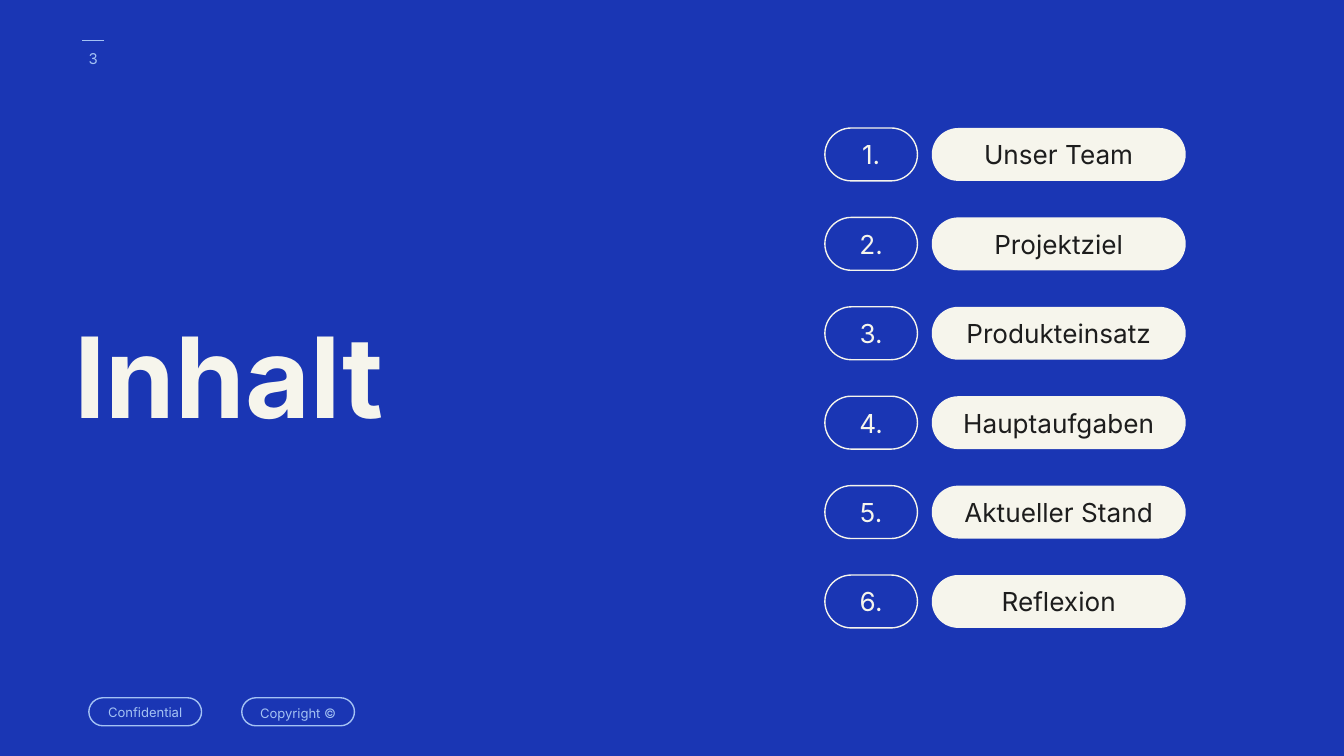
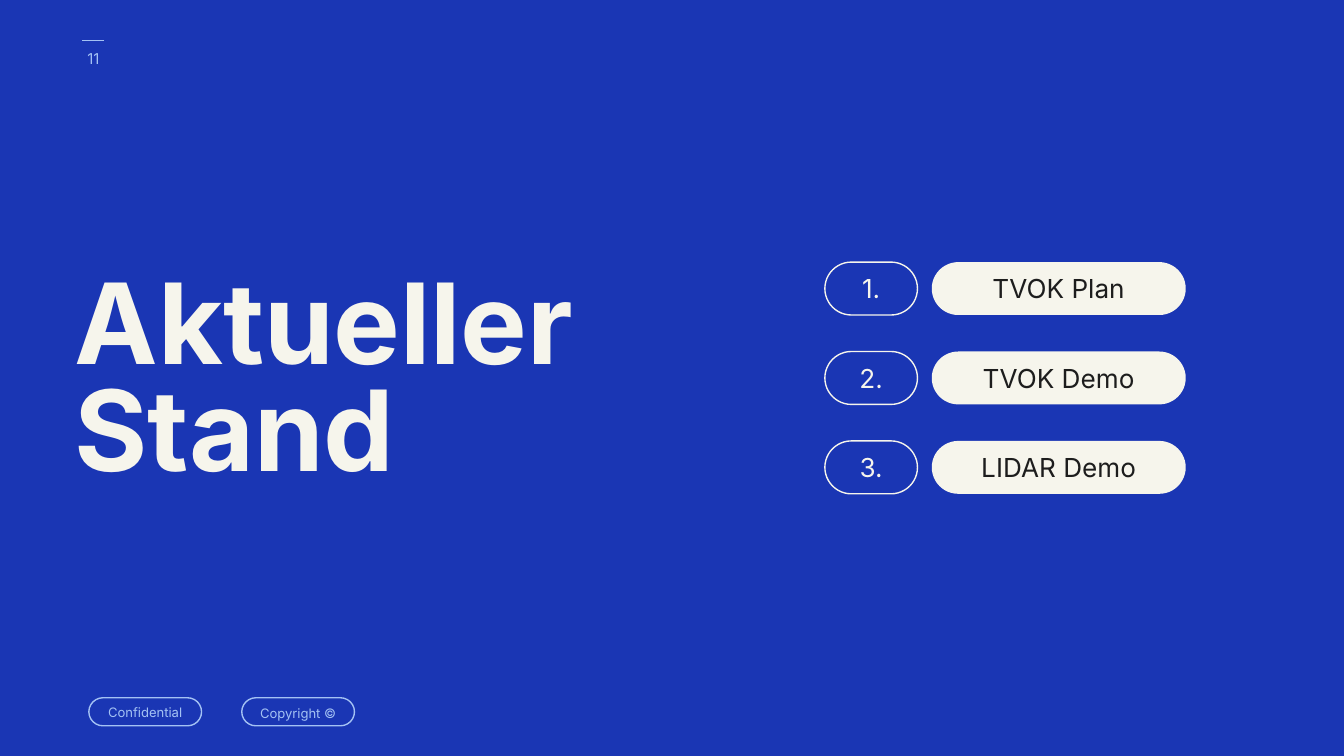
from pptx import Presentation
from pptx.dml.color import RGBColor
from pptx.enum.shapes import MSO_CONNECTOR, MSO_SHAPE
from pptx.enum.text import MSO_ANCHOR as Anchor, MSO_AUTO_SIZE, PP_ALIGN as Align
from pptx.util import Cm, Pt
from lxml.etree import SubElement
from pptx.oxml.ns import qn

BLUE = RGBColor(0x1A, 0x36, 0xB4)
CREAM = RGBColor(0xF6, 0xF5, 0xEC)
LIGHT_BLUE = RGBColor(0xA4, 0xC2, 0xF4)
INK = RGBColor(0x1D, 0x1D, 0x1D)
FONT = "Inter"

# Page number, title, title width and height in cm, agenda entries
SECTIONS = [
    ("3", "Inhalt", 6.9, 2.21,
     ["Unser Team", "Projektziel", "Produkteinsatz", "Hauptaufgaben",
      "Aktueller Stand", "Reflexion"]),
    ("11", "Aktueller Stand", 10.95, 4.27,
     ["TVOK Plan", "TVOK Demo", "LIDAR Demo"]),
]
# Label, left edge in cm, line spacing
FOOTERS = [("Confidential", 1.68, 1.0), ("Copyright ©", 4.57, 1.15)]

PAGE_WIDTH, PAGE_HEIGHT = 25.4, 14.29
TITLE_LEFT = 1.16
NUMBER_LEFT, NUMBER_WIDTH = 15.59, 1.75
ENTRY_LEFT, ENTRY_WIDTH = 17.61, 4.8
PILL_HEIGHT, ROW_PITCH = 1.0, 1.69


def centred_top(height):
    return (PAGE_HEIGHT - height) / 2


def write(box, text, size, color, align=Align.CENTER, anchor=Anchor.MIDDLE,
          spacing=1.0, bold=False):
    frame = box.text_frame
    frame.word_wrap = True
    frame.auto_size = MSO_AUTO_SIZE.NONE
    frame.vertical_anchor = anchor
    frame.margin_left = frame.margin_right = Cm(0.25)
    frame.margin_top = frame.margin_bottom = Cm(0.25)
    para = frame.paragraphs[0]
    para.alignment = align
    para.line_spacing = spacing
    para.space_before = Pt(0)
    span = para.add_run()
    span.text = text
    span.font.name = FONT
    span.font.size = Pt(size)
    span.font.bold = bold
    span.font.color.rgb = color


def add_pill(page, left, top, width, height, text, size, color, fill=None, spacing=1.0):
    """Add a fully rounded label: filled, or outlined in its text colour."""
    pill = page.shapes.add_shape(MSO_SHAPE.ROUNDED_RECTANGLE,
                                 Cm(left), Cm(top), Cm(width), Cm(height))
    pill.adjustments[0] = 0.5
    pill.shadow.inherit = False
    if fill is None:
        pill.fill.background()
        pill.line.color.rgb = color
        pill.line.width = Pt(0.75)
    else:
        pill.fill.solid()
        pill.fill.fore_color.rgb = fill
        pill.line.fill.background()
    write(pill, text, size, color, spacing=spacing)


def add_page_frame(page, number):
    """Add the page number with its rule, and the footer labels."""
    rule = page.shapes.add_connector(MSO_CONNECTOR.STRAIGHT,
                                     Cm(1.97), Cm(0.77), Cm(1.55), Cm(0.77))
    rule.line.color.rgb = LIGHT_BLUE
    rule.line.width = Pt(0.75)
    SubElement(rule._element.spPr, qn("a:effectLst"))
    for label, left, spacing in FOOTERS:
        add_pill(page, left, 13.19, 2.13, 0.53, label, 7, LIGHT_BLUE, spacing=spacing)
    box = page.shapes.add_textbox(Cm(1.17), Cm(0.56), Cm(1.19), Cm(1.09))
    write(box, number, 8, LIGHT_BLUE)


def set_title(page, text, width, height):
    title = page.shapes.title
    title.left, title.top = Cm(TITLE_LEFT), Cm(centred_top(height))
    title.width, title.height = Cm(width), Cm(height)
    write(title, text, 60, CREAM, Align.LEFT, Anchor.TOP, spacing=0.8, bold=True)


def add_agenda(page, entries):
    """Add numbered rows, centred vertically on the page."""
    first_top = centred_top((len(entries) - 1) * ROW_PITCH + PILL_HEIGHT)
    for row, entry in enumerate(entries):
        top = first_top + row * ROW_PITCH
        add_pill(page, NUMBER_LEFT, top, NUMBER_WIDTH, PILL_HEIGHT,
                 f"{row + 1}.", 14, CREAM)
        add_pill(page, ENTRY_LEFT, top, ENTRY_WIDTH, PILL_HEIGHT,
                 entry, 14, INK, fill=CREAM)


def main():
    deck = Presentation()
    deck.slide_width, deck.slide_height = Cm(PAGE_WIDTH), Cm(PAGE_HEIGHT)
    layout = deck.slide_layouts.get_by_name("Title Only")
    layout.background.fill.solid()
    layout.background.fill.fore_color.rgb = BLUE
    for number, title, width, height, entries in SECTIONS:
        page = deck.slides.add_slide(layout)
        add_page_frame(page, number)
        set_title(page, title, width, height)
        add_agenda(page, entries)
    deck.save("out.pptx")


if __name__ == "__main__":
    main()
